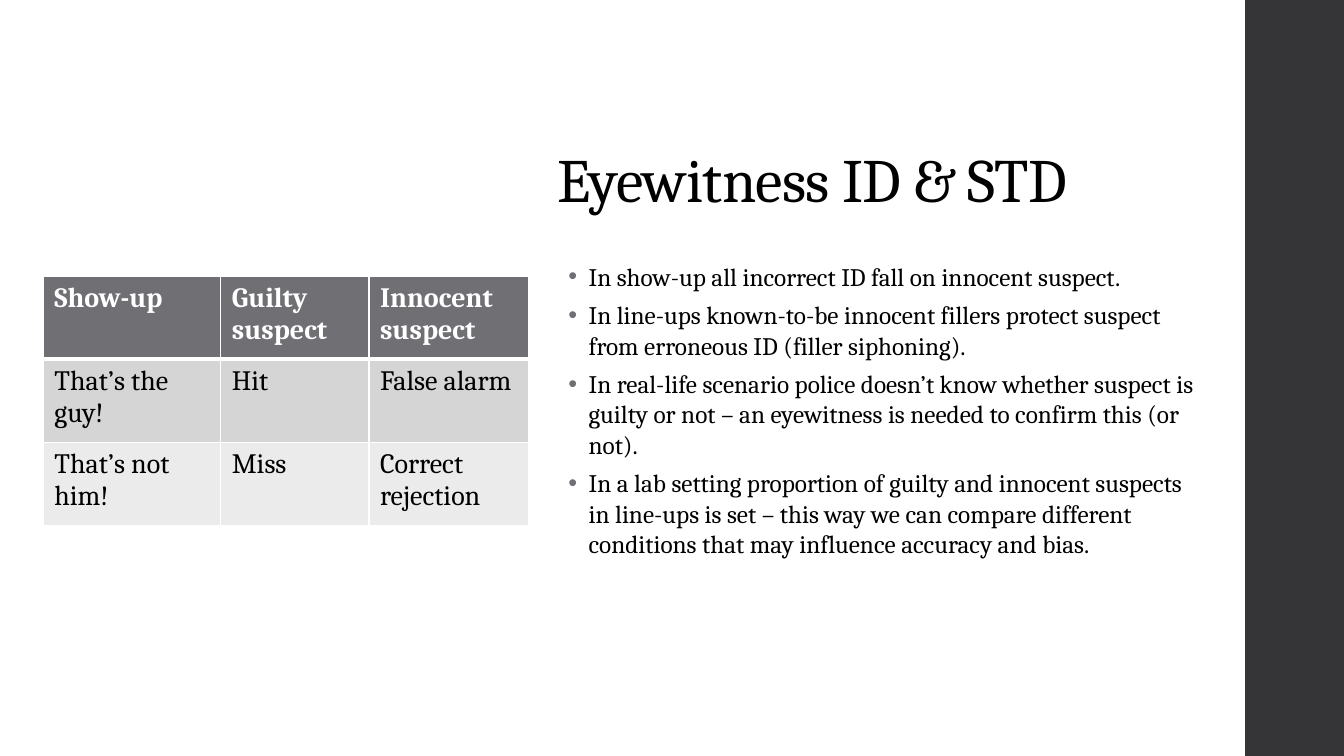
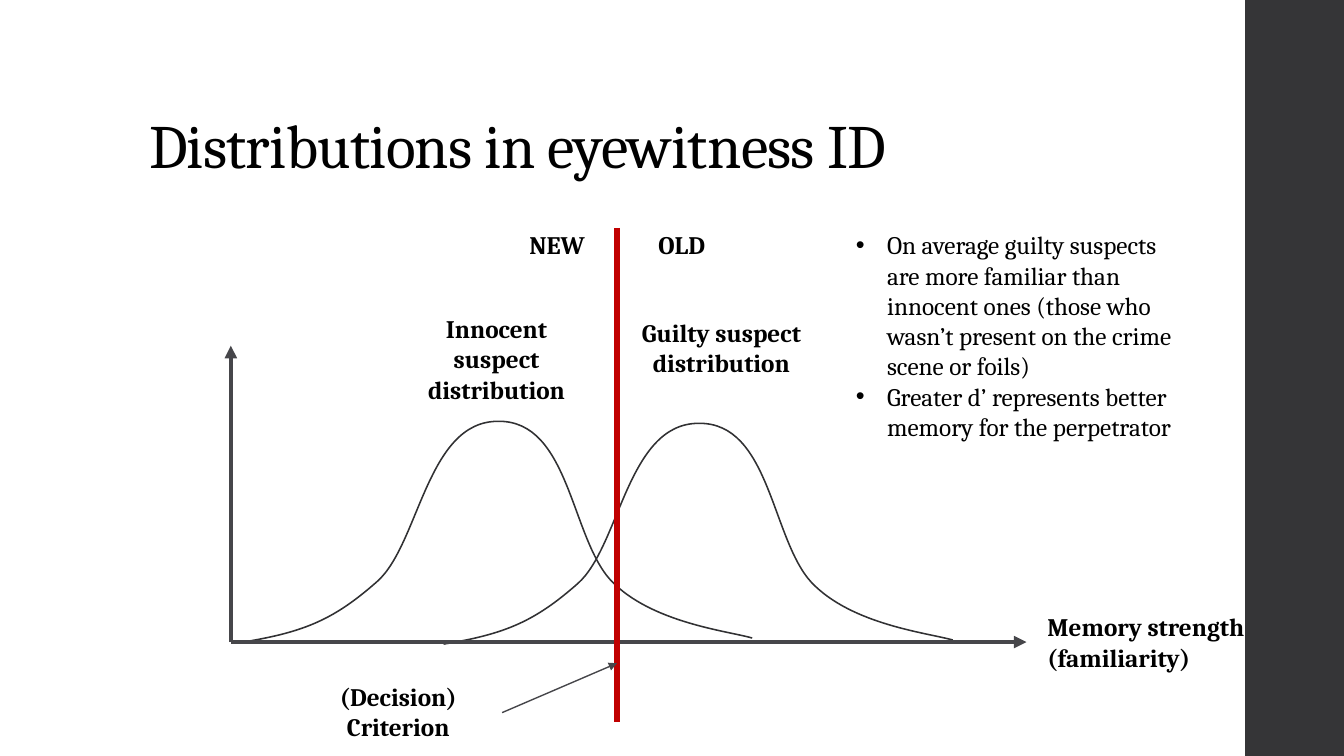
from lxml.etree import SubElement as Sub
from pptx import Presentation
from pptx.dml.color import RGBColor as RGB
from pptx.enum.shapes import MSO_CONNECTOR as CON, MSO_SHAPE as SHAPE
from pptx.enum.text import MSO_ANCHOR as ANCHOR, PP_ALIGN as ALIGN
from pptx.oxml.ns import qn
from pptx.util import Inches, Pt

FONT = "Cambria"
WIDE, HIGH, BAND = 13.33, 7.5, 12.35
HEX = {
    "ink": "000000", "white": "FFFFFF", "band": "353537", "grey": "6F6F74",
    "odd": "D5D5D6", "even": "EBEBEB", "axis": "46464A", "curve": "313133",
    "red": "C00000",
}

GRID = [
    ["Show-up", "Guilty suspect", "Innocent suspect"],
    ["That’s the guy!", "Hit", "False alarm"],
    ["That’s not him!", "Miss", "Correct rejection"],
]
POINTS = [
    "In show-up all incorrect ID fall on innocent suspect.",
    "In line-ups known-to-be innocent fillers protect suspect from erroneous "
    "ID (filler siphoning).",
    "In real-life scenario police doesn’t know whether suspect is guilty or "
    "not – an eyewitness is needed to confirm this (or not).",
    "In a lab setting proportion of guilty and innocent suspects in line-ups "
    "is set – this way we can compare different conditions that may influence "
    "accuracy and bias.",
]
NOTES = [
    "On average guilty suspects are more familiar than innocent ones (those "
    "who wasn’t present on the crime scene or foils)",
    "Greater d’ represents better memory for the perpetrator",
]
# Bezier knots and handles of one bell: every third point lies on the curve
BELL = [
    (2.41, 6.37), (3.03, 6.27), (3.32, 6.14), (3.74, 5.77), (4.16, 5.4),
    (4.23, 4.18), (4.94, 4.18), (5.65, 4.17), (5.66, 5.33), (6.06, 5.76),
    (6.46, 6.18), (7.22, 6.26), (7.46, 6.33),
]


def color(name):
    return RGB.from_string(HEX[name])


def style(para, size, bold=False, tint="ink"):
    for run in para.runs:
        font = run.font
        font.name, font.size, font.bold = FONT, Pt(size), bold
        font.color.rgb = color(tint)


def add_text(slide, box, lines, size=18, bold=False, align=ALIGN.LEFT):
    frame = slide.shapes.add_textbox(*map(Inches, box)).text_frame
    frame.word_wrap = True
    frame.text = "\n".join(lines)
    for para in frame.paragraphs:
        para.alignment = align
        style(para, size, bold)
    return frame


def add_label(slide, box, text):
    add_text(slide, box, [text], bold=True, align=ALIGN.CENTER)


def add_pair(slide, box, text, inset, stop):
    """Add two words that a tab stop sets apart."""
    frame = add_text(slide, box, [text], bold=True)
    frame.margin_left = Inches(inset)
    tabs = Sub(frame.paragraphs[0]._p.get_or_add_pPr(), qn("a:tabLst"))
    Sub(tabs, qn("a:tab"), pos=str(Inches(stop)), algn="l")


def add_list(slide, box, lines, left, hang, after=0, dot="ink"):
    for para in add_text(slide, box, lines).paragraphs:
        para.space_after = Pt(after)
        props = para._p.get_or_add_pPr()
        props.set("marL", str(Inches(left)))
        props.set("indent", str(-Inches(hang)))
        tint = Sub(props, qn("a:buClr"))
        Sub(tint, qn("a:srgbClr"), val=HEX[dot])
        Sub(props, qn("a:buFont"), typeface="Arial")
        Sub(props, qn("a:buChar"), char="•")


def add_page(deck, title, box):
    """Add a slide with the side band and the shared title style."""
    slide = deck.slides.add_slide(deck.slide_layouts[6])
    band = slide.shapes.add_shape(
        SHAPE.RECTANGLE, Inches(BAND), 0, Inches(WIDE - BAND), Inches(HIGH))
    band.shadow.inherit = False
    band.fill.solid()
    band.fill.fore_color.rgb = color("band")
    band.line.fill.background()
    frame = add_text(slide, box, [title], 44)
    frame.vertical_anchor = ANCHOR.BOTTOM
    para = frame.paragraphs[0]
    para.line_spacing = 0.9
    para.runs[0]._r.get_or_add_rPr().set("spc", "-50")
    return slide


def add_edges(cell, top, base):
    props = cell._tc.get_or_add_tcPr()
    for side, width in zip("LRTB", (1, 1, top, base)):
        line = Sub(props, qn("a:ln" + side), w=str(Pt(width)))
        fill = Sub(line, qn("a:solidFill"))
        Sub(fill, qn("a:srgbClr"), val=HEX["white"])


def add_grid(slide, left, top, widths, high, rows):
    table = slide.shapes.add_table(
        len(rows), len(widths), Inches(left), Inches(top),
        Inches(sum(widths)), Inches(high)).table
    for col, width in zip(table.columns, widths):
        col.width = Inches(width)
    fills = ["grey", "odd", "even"]
    for i, row in enumerate(rows):
        head = i == 0
        for j, text in enumerate(row):
            cell = table.cell(i, j)
            cell.text = text
            cell.margin_left = cell.margin_right = Inches(0.11)
            cell.margin_top = cell.margin_bottom = Inches(0.06)
            add_edges(cell, 3 if i == 1 else 1, 3 if head else 1)
            cell.fill.solid()
            cell.fill.fore_color.rgb = color(fills[i])
            style(cell.text_frame.paragraphs[0], 20, head,
                  "white" if head else "ink")


def add_line(slide, start, end, tint, width, arrow=True):
    line = slide.shapes.add_connector(
        CON.STRAIGHT, *map(Inches, (*start, *end)))
    line.line.color.rgb = color(tint)
    line.line.width = Pt(width)
    props = line._element.spPr
    if arrow:
        Sub(props.find(qn("a:ln")), qn("a:tailEnd"), type="triangle")
    Sub(props, qn("a:effectLst"))


def bend(shape):
    """Turn each three straight segments into one cubic Bezier curve."""
    route = next(shape._element.iter(qn("a:path")))
    lines = route.findall(qn("a:lnTo"))
    for k in range(0, len(lines), 3):
        curve = Sub(route, qn("a:cubicBezTo"))
        for line in lines[k:k + 3]:
            curve.append(line[0])
            route.remove(line)


def add_bell(slide, dx=0, dy=0):
    spots = [(Inches(x + dx), Inches(y + dy)) for x, y in BELL]
    pen = slide.shapes.build_freeform(*spots[0])
    pen.add_line_segments(spots[1:], close=False)
    bell = pen.convert_to_shape()
    bend(bell)
    bell.shadow.inherit = False
    bell.fill.background()
    bell.line.color.rgb = color("curve")
    bell.line.width = Pt(1.1)


def show_up(deck):
    slide = add_page(deck, "Eyewitness ID & STD", (5.43, 0.7, 6.56, 1.49))
    add_list(slide, (5.43, 2.54, 6.58, 4.22), POINTS, 0.31, 0.2, 6, "grey")
    add_grid(slide, 0.43, 2.74, (1.76, 1.47, 1.58), 2.47, GRID)


def curves(deck):
    slide = add_page(deck, "Distributions in eyewitness ID",
                     (1.38, 0.4, 10.6, 1.45))
    add_bell(slide)
    add_bell(slide, 1.99, 0.02)
    root, cut = (2.29, 6.37), 6.12
    add_line(slide, root, (10.18, 6.37), "axis", 3)
    add_line(slide, root, (2.29, 3.43), "axis", 3)
    add_label(slide, (4.01, 3.06, 1.83, 1.01), "Innocent suspect distribution")
    add_label(slide, (6.24, 3.1, 1.83, 1.01), "Guilty suspect distribution")
    add_text(slide, (10.29, 6.02, 2.41, 1.01),
             ["Memory strength", "(familiarity)"], bold=True)
    add_line(slide, (cut, 2.26), (cut, 7.16), "red", 4.5, arrow=False)
    add_pair(slide, (4.99, 2.23, 2.25, 0.4), "NEW\tOLD", 0.26, 1.28)
    add_label(slide, (2.92, 6.71, 2.06, 0.71), "(Decision) Criterion")
    add_line(slide, (4.98, 7.07), (cut, 6.58), "axis", 1)
    add_list(slide, (8.39, 2.23, 3.44, 3.13), NOTES, 0.31, 0.31)


def main():
    deck = Presentation()
    deck.slide_width, deck.slide_height = Inches(WIDE), Inches(HIGH)
    show_up(deck)
    curves(deck)
    deck.save("out.pptx")


if __name__ == "__main__":
    main()
